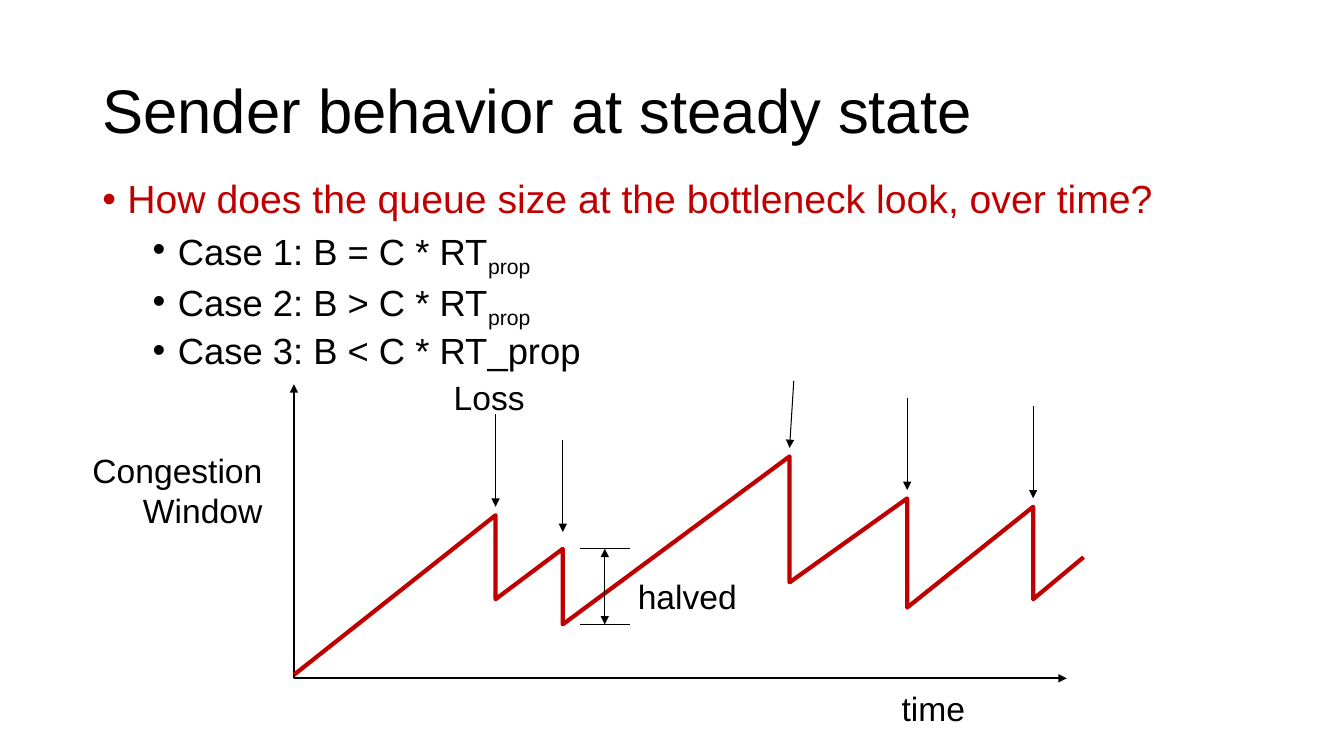
"""Build a slide on sender behavior at steady state, with a congestion window sketch."""
from dataclasses import dataclass

from pptx import Presentation
from pptx.dml.color import RGBColor
from pptx.enum.text import MSO_ANCHOR, PP_ALIGN
from pptx.oxml.ns import qn
from pptx.oxml.xmlchemy import OxmlElement
from pptx.shapes.autoshape import Shape
from pptx.shapes.connector import Connector
from pptx.slide import Slide
from pptx.text.text import Font
from pptx.util import Pt
from pptx.enum.shapes import MSO_CONNECTOR

LEFT, RIGHT = PP_ALIGN.LEFT, PP_ALIGN.RIGHT
MIDDLE = MSO_ANCHOR.MIDDLE
STRAIGHT = MSO_CONNECTOR.STRAIGHT
BLACK = RGBColor(0x00, 0x00, 0x00)
RED = RGBColor(0xC0, 0x00, 0x00)
FONT_NAME = "Arial"
TITLE_ONLY = 5
Point = tuple[float, float]


@dataclass(frozen=True)
class Bullet:
    text: str
    subscript: str = ""
    level: int = 1
    size: float = 26
    color: RGBColor = BLACK
    space_before: float = 5


@dataclass(frozen=True)
class Label:
    text: str
    left: float
    top: float
    width: float
    height: float = 36
    align: PP_ALIGN = LEFT


@dataclass(frozen=True)
class Segment:
    start: Point
    end: Point
    head: bool = False
    tail: bool = False


@dataclass(frozen=True)
class Polyline:
    points: tuple[Point, ...]
    color: RGBColor
    width: float
    arrows: bool = False


BULLETS = (
    Bullet("How does the queue size at the bottleneck look, over time?",
           level=0, size=28, color=RED, space_before=0),
    Bullet("Case 1: B = C * RT", "prop"),
    Bullet("Case 2: B > C * RT", "prop"),
    Bullet("Case 3: B < C * RT_prop"),
)
AXES = Polyline(((210, 274.5), (210, 484.5), (762, 484.5)), BLACK, 1.5, arrows=True)
WINDOW_CURVE = Polyline(
    ((210, 482), (354, 368), (354, 428), (402, 392), (402, 446), (564, 326),
     (564, 416), (648, 356), (648, 434), (738, 362), (738, 428), (774, 398)),
    RED, 3)
HALVED_TOP, HALVED_BOTTOM = 392, 446
HALVED_MARKS = (
    Segment((414, HALVED_BOTTOM), (450, HALVED_BOTTOM)),
    Segment((414, HALVED_TOP), (450, HALVED_TOP)),
    Segment((432, HALVED_TOP), (432, HALVED_BOTTOM), head=True, tail=True),
)
LOSS_ARROW_LENGTH = 66
LOSS_TOPS = ((354, 296), (402, 314), (648, 284), (738, 290))
LOSS_ARROWS = (
    *(Segment((x, y), (x, y + LOSS_ARROW_LENGTH), tail=True) for x, y in LOSS_TOPS),
    Segment((567, 272), (564, 320), tail=True),
)
LABELS = (
    Label("Congestion\nWindow", 57, 317.5, 137.5, 65.5, RIGHT),
    Label("halved", 448.5, 407.5, 86.5),
    Label("Loss", 317, 265.5, 65.5),
    Label("time", 637, 488, 60.5),
)


def format_font(font: Font, size: float, color: RGBColor = BLACK) -> None:
    """Apply the slide font with a size and colour."""
    font.name = FONT_NAME
    font.size = Pt(size)
    font.color.rgb = color


def format_line(drawn: Shape | Connector, color: RGBColor, width: float,
                head: bool, tail: bool) -> None:
    """Set the stroke and its arrowheads."""
    drawn.line.color.rgb = color
    drawn.line.width = Pt(width)
    stroke = drawn._element.spPr.find(qn("a:ln"))
    for tag, wanted in (("a:headEnd", head), ("a:tailEnd", tail)):
        if wanted:
            arrowhead = OxmlElement(tag)
            arrowhead.set("type", "triangle")
            stroke.append(arrowhead)


def add_title(slide: Slide, text: str) -> None:
    """Place and format the title placeholder."""
    title = slide.shapes.title
    title.left, title.top, title.width, title.height = Pt(66), Pt(29), Pt(828), Pt(104.5)
    frame = title.text_frame
    frame.text = text
    frame.word_wrap = True
    frame.vertical_anchor = MIDDLE
    paragraph = frame.paragraphs[0]
    paragraph.alignment = LEFT
    paragraph.line_spacing = 0.9
    format_font(paragraph.runs[0].font, 44)


def add_bullets(slide: Slide, bullets: tuple[Bullet, ...]) -> None:
    """Add the question and its cases as a bulleted list."""
    frame = slide.shapes.add_textbox(Pt(66), Pt(125), Pt(828), Pt(343)).text_frame
    frame.word_wrap = True
    frame.text = "\n".join(bullet.text for bullet in bullets)
    for paragraph, bullet in zip(frame.paragraphs, bullets):
        paragraph.level = bullet.level
        properties = paragraph._p.get_or_add_pPr()
        properties.set("marL", str(Pt(18 + 36 * bullet.level)))
        properties.set("indent", str(Pt(-18)))
        for tag, key, value in (("a:buFont", "typeface", FONT_NAME),
                                ("a:buChar", "char", "•")):
            element = OxmlElement(tag)
            element.set(key, value)
            properties.append(element)
        paragraph.line_spacing = 0.9
        paragraph.space_before = Pt(bullet.space_before)
        if bullet.subscript:
            subscript = paragraph.add_run()
            subscript.text = bullet.subscript
            subscript._r.get_or_add_rPr().set("baseline", "-25000")
        for run in paragraph.runs:
            format_font(run.font, bullet.size, bullet.color)


def add_label(slide: Slide, label: Label) -> None:
    """Add one unwrapped chart label."""
    frame = slide.shapes.add_textbox(
        Pt(label.left), Pt(label.top), Pt(label.width), Pt(label.height)).text_frame
    frame.word_wrap = False
    frame.text = label.text
    for paragraph in frame.paragraphs:
        paragraph.alignment = label.align
        format_font(paragraph.runs[0].font, 24)


def add_polyline(slide: Slide, polyline: Polyline) -> None:
    """Add an open, unfilled outline."""
    start, *others = [(Pt(x), Pt(y)) for x, y in polyline.points]
    builder = slide.shapes.build_freeform(*start)
    builder.add_line_segments(others, close=False)
    outline = builder.convert_to_shape()
    outline.shadow.inherit = False
    outline.fill.background()
    format_line(outline, polyline.color, polyline.width, polyline.arrows, polyline.arrows)


def add_segment(slide: Slide, segment: Segment) -> None:
    """Add a thin straight line."""
    ends = [Pt(value) for value in segment.start + segment.end]
    connector = slide.shapes.add_connector(STRAIGHT, *ends)
    format_line(connector, BLACK, 0.75, segment.head, segment.tail)
    connector._element.spPr.append(OxmlElement("a:effectLst"))


def main() -> None:
    """Build and save the slide."""
    presentation = Presentation()
    presentation.slide_width, presentation.slide_height = Pt(960), Pt(540)
    slide = presentation.slides.add_slide(presentation.slide_layouts[TITLE_ONLY])
    add_title(slide, "Sender behavior at steady state")
    add_bullets(slide, BULLETS)
    for polyline in (AXES, WINDOW_CURVE):
        add_polyline(slide, polyline)
    for segment in HALVED_MARKS + LOSS_ARROWS:
        add_segment(slide, segment)
    for label in LABELS:
        add_label(slide, label)
    presentation.save("out.pptx")


if __name__ == "__main__":
    main()
